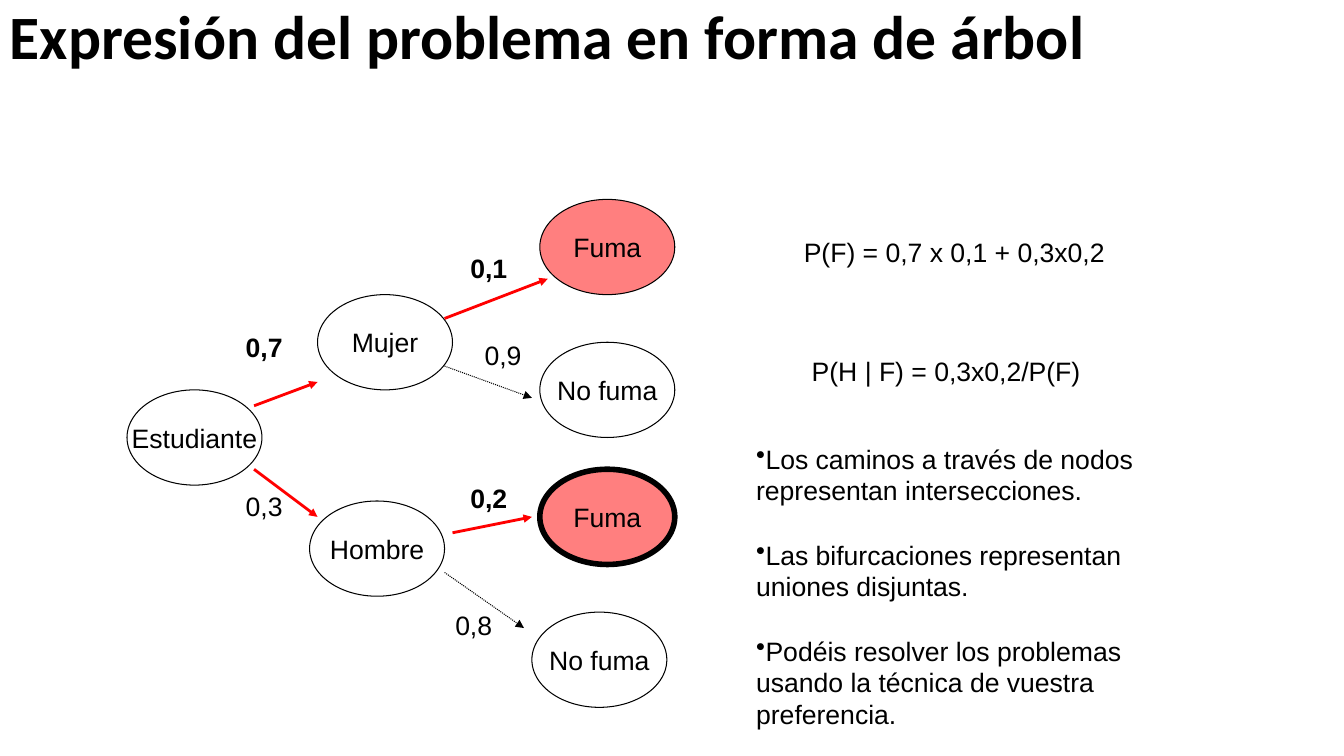
from dataclasses import dataclass
from typing import Any

import pptx
import pptx.dml.color
import pptx.enum.dml
import pptx.enum.shapes
import pptx.enum.text
import pptx.oxml
import pptx.oxml.ns
import pptx.util


@dataclass(frozen=True)
class Theme:
    ink: str = "000000"
    accent: str = "FF0000"
    font: str = "Arial"
    title_font: str = "Calibri"
    body: float = 19
    title: float = 44
    paragraph_gap: float = 23
    thin: float = 0.75
    path_line: float = 2
    thick: float = 4
    opacity: int = 50


@dataclass(frozen=True)
class Node:
    text: str
    col: float
    row: float
    smokes: bool = False
    line: float = 0.75


@dataclass(frozen=True)
class Branch:
    start: tuple[float, float]
    end: tuple[float, float]
    on_path: bool = True


@dataclass(frozen=True)
class Label:
    text: str
    col: float
    row: float
    cols: float = 7.2
    rows: float = 5.3
    bold: bool = False


THEME = Theme()
CELL = pptx.util.Cm(0.2)
TOP = pptx.util.Inches(0.01)
NODE_COLS, NODE_ROWS = 17, 12

NODES = [
    Node("Estudiante", 16, 49),
    Node("Mujer", 40, 37),
    Node("No fuma", 68, 43),
    Node("Hombre", 39, 63),
    Node("Fuma", 68, 25, smokes=True),
    Node("No fuma", 67, 77),
    Node("Fuma", 68, 59, smokes=True, line=THEME.thick),
]
BRANCHES = [
    Branch((32, 51), (40, 48)),
    Branch((32, 59), (40, 65)),
    Branch((56, 40), (69, 35)),
    Branch((56, 46), (67, 50), on_path=False),
    Branch((57, 67), (67, 65)),
    Branch((56, 72), (66, 79), on_path=False),
]
LABELS = [
    Label("0,7", 29.7, 41, bold=True),
    Label("0,1", 58, 31, bold=True),
    Label("0,2", 58, 60, bold=True),
    Label("0,3", 29.7, 61),
    Label("0,8", 56.1, 76),
    Label("0,9", 59.8, 42),
    Label("P(F) = 0,7 x 0,1 + 0,3x0,2", 100, 29, cols=40.6),
    Label("P(H | F) = 0,3x0,2/P(F)", 101, 44, cols=36.6),
]
NOTES = [
    ["Los caminos a través de nodos representan intersecciones."],
    ["Las bifurcaciones representan uniones disjuntas."],
    ["Podéis resolver los problemas", "usando la técnica de vuestra", "preferencia."],
]


def x(col: float) -> int:
    return round(col * CELL)


def y(row: float) -> int:
    return TOP + round(row * CELL)


def rgb(value: str) -> pptx.dml.color.RGBColor:
    return pptx.dml.color.RGBColor.from_string(value)


def element(parent: Any, tag: str, **attributes: str) -> None:
    child = pptx.oxml.parse_xml(f"<{tag} {pptx.oxml.ns.nsdecls('a')}/>")
    for name, value in attributes.items():
        child.set(name, value)
    parent.append(child)


def add_run(p: Any, text: str, bold: bool = False,
            font: str = THEME.font, size: float = THEME.body) -> None:
    r = p.add_run()
    r.text = text
    r.font.name = font
    r.font.size = pptx.util.Pt(size)
    r.font.bold = bold
    r.font.color.rgb = rgb(THEME.ink)


def add_box(s: Any, col: float, row: float, cols: float, rows: float, wrap: bool) -> Any:
    sp = s.shapes.add_textbox(x(col), y(row), x(cols), x(rows))
    sp.text_frame.word_wrap = wrap
    return sp.text_frame


def add_node(s: Any, node: Node) -> None:
    sp = s.shapes.add_shape(pptx.enum.shapes.MSO_SHAPE.OVAL,
                            x(node.col), y(node.row), x(NODE_COLS), x(NODE_ROWS))
    sp.shadow.inherit = False
    if node.smokes:
        sp.fill.solid()
        sp.fill.fore_color.rgb = rgb(THEME.accent)
        color = sp.element.spPr.find(".//" + pptx.oxml.ns.qn("a:srgbClr"))
        element(color, "a:alpha", val=str(THEME.opacity * 1000))
    else:
        sp.fill.background()
    sp.line.color.rgb = rgb(THEME.ink)
    sp.line.width = pptx.util.Pt(node.line)
    tf = sp.text_frame
    tf.word_wrap = False
    tf.vertical_anchor = pptx.enum.text.MSO_ANCHOR.MIDDLE
    p = tf.paragraphs[0]
    p.alignment = pptx.enum.text.PP_ALIGN.CENTER
    add_run(p, node.text)


def add_branch(s: Any, branch: Branch) -> None:
    (c1, r1), (c2, r2) = branch.start, branch.end
    sp = s.shapes.add_connector(pptx.enum.shapes.MSO_CONNECTOR.STRAIGHT,
                                x(c1), y(r1), x(c2), y(r2))
    sp.line.color.rgb = rgb(THEME.accent if branch.on_path else THEME.ink)
    sp.line.width = pptx.util.Pt(THEME.path_line if branch.on_path else THEME.thin)
    if not branch.on_path:
        sp.line.dash_style = pptx.enum.dml.MSO_LINE.ROUND_DOT
    properties = sp.element.spPr
    element(properties.find(pptx.oxml.ns.qn("a:ln")), "a:tailEnd", type="triangle")
    element(properties, "a:effectLst")


def add_label(s: Any, label: Label) -> None:
    tf = add_box(s, label.col, label.row, label.cols, label.rows, wrap=False)
    add_run(tf.paragraphs[0], label.text, label.bold)


def add_notes(s: Any, notes: list[list[str]]) -> None:
    tf = add_box(s, 94, 55, 53.6, 37.3, wrap=True)
    for i, lines in enumerate(notes):
        p = tf.add_paragraph() if i else tf.paragraphs[0]
        p.space_before = pptx.util.Pt(THEME.paragraph_gap if i else 0)
        element(p._p.get_or_add_pPr(), "a:buChar", char="•")
        for j, line in enumerate(lines):
            if j:
                p.add_line_break()
            add_run(p, line)


def add_title(s: Any, text: str, width: int) -> None:
    tf = add_box(s, 0, 0, width / CELL, 18.4, wrap=True)
    p = tf.paragraphs[0]
    p.line_spacing = 0.9
    add_run(p, text, True, THEME.title_font, THEME.title)


prs = pptx.Presentation()
prs.slide_width = pptx.util.Inches(13.33)
prs.slide_height = pptx.util.Inches(7.5)
s = prs.slides.add_slide(prs.slide_layouts[6])
for node in NODES:
    add_node(s, node)
for branch in BRANCHES:
    add_branch(s, branch)
for label in LABELS:
    add_label(s, label)
add_notes(s, NOTES)
add_title(s, "Expresión del problema en forma de árbol", prs.slide_width)
prs.save("out.pptx")
